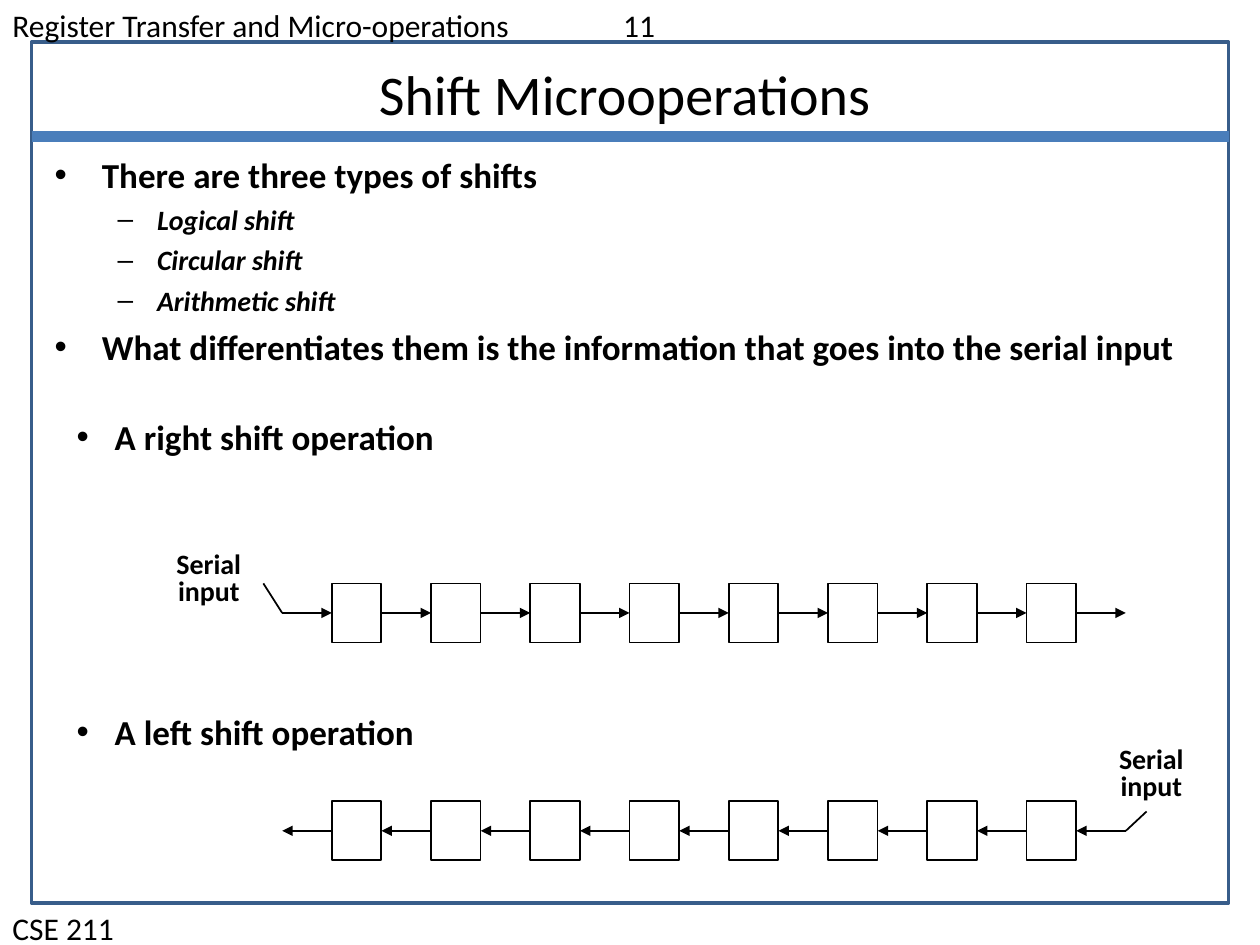
from lxml import etree
from pptx import Presentation
from pptx.dml.color import RGBColor
from pptx.enum import shapes, text
from pptx.oxml import ns
from pptx.util import Pt

BLACK = RGBColor(0, 0, 0)
NAVY = RGBColor(0x38, 0x5D, 0x8A)
BLUE = RGBColor(0x4A, 0x7E, 0xBB)
FONT = "Calibri"

TITLE = "Shift Microoperations"
HEAD = "Register Transfer and Micro-operations\t11"
FOOT = "CSE 211"
POINTS = [
    (0, "There are three types of shifts"),
    (1, "Logical shift"),
    (1, "Circular shift"),
    (1, "Arithmetic shift"),
    (0, "What differentiates them is the information that goes into the serial input"),
]
# level: size, space before, left margin, hanging indent
LEVELS = {0: (20, 5, 27, 27), 1: (16, 4, 58.5, 22.5)}
CASES = ["A right shift operation", "A left shift operation"]
LABEL = ["Serial", "input"]
# top of cells, flows right, label place, start of input line
ROWS = [
    (333.4, True, (89.3, 312.5), (150.5, 333.4)),
    (457.9, False, (627.9, 424.1), (655.2, 463.7)),
]
CELLS, LEFT, STEP, TALL = 8, 189.6, 28.36, 33.7


def add(para, tag, **attrs):
    """Append a child element to the paragraph properties."""
    return etree.SubElement(para._p.get_or_add_pPr(), ns.qn(tag), **attrs)


def hang(para, left, back):
    """Give a paragraph a hanging indent."""
    props = para._p.get_or_add_pPr()
    props.set("marL", str(Pt(left)))
    props.set("indent", str(-Pt(back)))


def style(para, size, bold=False, slant=False):
    """Format every run of a paragraph."""
    for run in para.runs:
        font = run.font
        font.name, font.size = FONT, Pt(size)
        font.bold, font.italic = bold, slant
        font.color.rgb = BLACK


def place(shape, *box):
    """Set left, top, width and height of a shape."""
    shape.left, shape.top, shape.width, shape.height = map(Pt, box)


def write(box, lines, size, bold=False):
    """Add a text box with one paragraph per line."""
    frame = slide.shapes.add_textbox(*map(Pt, box)).text_frame
    frame.word_wrap = True
    frame.text = "\n".join(lines)
    for para in frame.paragraphs:
        style(para, size, bold)
    return frame.paragraphs


def rect(box, color, width):
    """Add an unfilled rectangle."""
    shape = slide.shapes.add_shape(shapes.MSO_SHAPE.RECTANGLE, *map(Pt, box))
    shape.shadow.inherit = False
    shape.fill.background()
    shape.line.color.rgb, shape.line.width = color, Pt(width)


def line(start, end, color=BLACK, width=1, arrow=False):
    """Add a straight line, with an arrowhead at its end if asked."""
    link = slide.shapes.add_connector(
        shapes.MSO_CONNECTOR.STRAIGHT, *map(Pt, start + end))
    link.line.color.rgb, link.line.width = color, Pt(width)
    if arrow:
        etree.SubElement(link.line._get_or_add_ln(), ns.qn("a:tailEnd"), type="triangle")
    etree.SubElement(link._element.spPr, ns.qn("a:effectLst"))


def draw(top, right, label, start):
    """Draw one shift register with its arrows and serial input."""
    mid = top + TALL / 2
    for i in range(CELLS):
        rect((LEFT + 2 * i * STEP, top, STEP, TALL), BLACK, 1)
    for i in range(CELLS + 1):
        ends = [(LEFT + (2 * i - 1) * STEP, mid), (LEFT + 2 * i * STEP, mid)]
        line(*(ends if right else ends[::-1]), arrow=True)
    entry = LEFT + (-1 if right else 2 * CELLS) * STEP
    line(start, (entry, mid))
    for para in write((*label, 60, 38), LABEL, 16, True):
        para.alignment = text.PP_ALIGN.CENTER
        para.line_spacing = 0.8


deck = Presentation()
deck.slide_width, deck.slide_height = Pt(720), Pt(540)
slide = deck.slides.add_slide(deck.slide_layouts[1])

rect((18, 24, 684, 492), NAVY, 2)
line((18, 78), (702, 78), BLUE, 6.75)

title = slide.shapes.title
place(title, 54, 30, 606, 46)
title.text_frame.text = TITLE
style(title.text_frame.paragraphs[0], 32)

body = slide.placeholders[1]
place(body, 24, 84, 660, 150)
frame = body.text_frame
frame.auto_size = text.MSO_AUTO_SIZE.NONE
frame.text = "\n".join(words for _, words in POINTS)
for para, (level, _) in zip(frame.paragraphs, POINTS):
    size, gap, left, back = LEVELS[level]
    para.level = level
    para.space_before = Pt(gap)
    hang(para, left, back)
    style(para, size, True, level == 1)

head = write((0, 0, 720, 29), [HEAD], 18)[0]
etree.SubElement(add(head, "a:tabLst"), ns.qn("a:tab"), pos=str(Pt(349)), algn="l")
write((0, 516, 720, 29), [FOOT], 18)

cases = write((36.7, 234, 360, 200), CASES, 20, True)
cases[1].space_before = Pt(144.4)
for para in cases:
    hang(para, 21.8, 21.8)
    add(para, "a:buFont", typeface="Arial")
    add(para, "a:buChar", char="•")

for row in ROWS:
    draw(*row)

deck.save("out.pptx")
